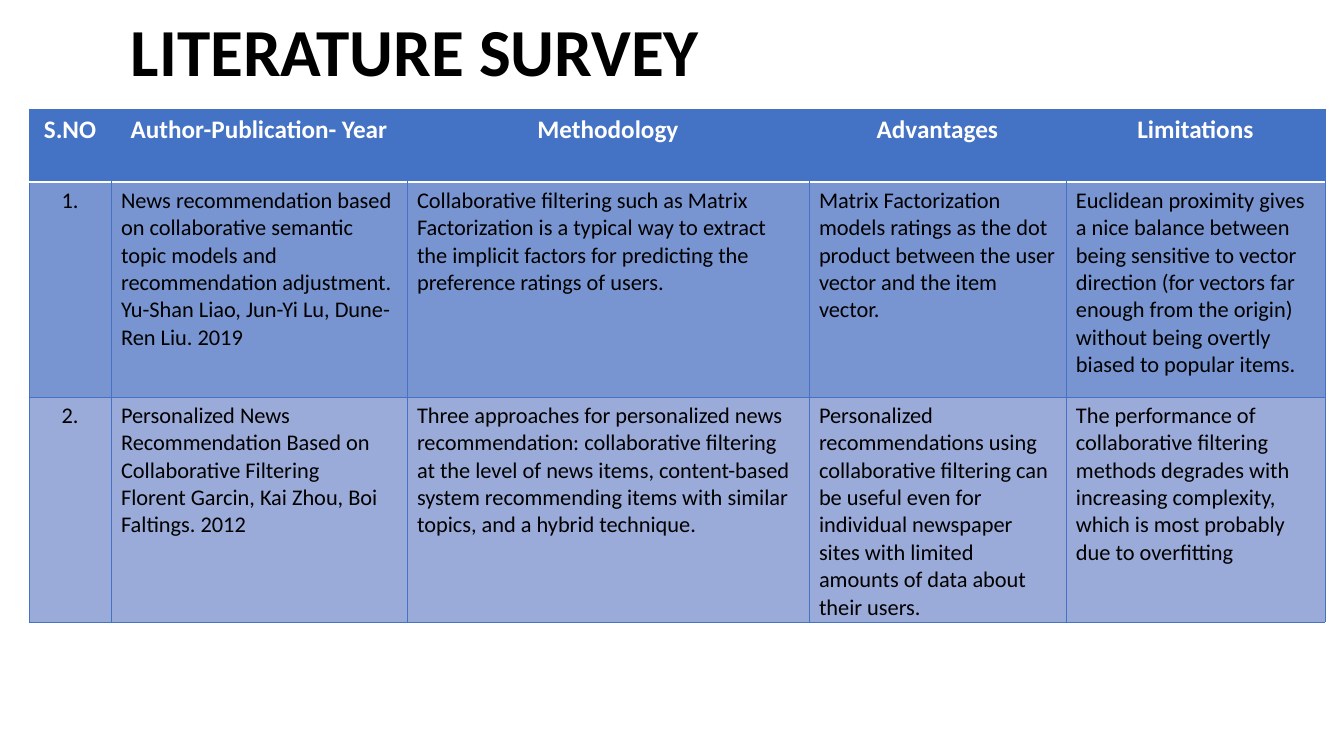
from lxml import etree
from pptx import Presentation
from pptx.dml.color import RGBColor
from pptx.enum.text import MSO_ANCHOR, PP_ALIGN
from pptx.oxml.ns import qn
from pptx.util import Pt

EMU_PER_PX = 914400 / 100.8
FONT = "Calibri"
COLORS = {
    "ink": "000000",
    "paper": "FFFFFF",
    "header": "4472C4",
    "odd_row": "7895D1",
    "even_row": "9BABD9",
}
COLUMN_WIDTHS = [82, 296, 402, 257, 259]
ROW_HEIGHTS = [73, 215, 220]
HEADINGS = ["S.NO", "Author-Publication- Year", "Methodology", "Advantages", "Limitations"]
PAPERS = [
    [
        "1.",
        "News recommendation based on collaborative semantic topic models and "
        "recommendation adjustment.\nYu-Shan Liao, Jun-Yi Lu, Dune-Ren Liu. 2019",
        "Collaborative filtering such as Matrix Factorization is a typical way to extract "
        "the implicit factors for predicting the preference ratings of users.",
        "Matrix Factorization models ratings as the dot product between the user vector "
        "and the item vector.",
        "Euclidean proximity gives a nice balance between being sensitive to vector direction "
        "(for vectors far enough from the origin) without being overtly biased to popular items.",
    ],
    [
        "2.",
        "Personalized News Recommendation Based on Collaborative Filtering\n"
        "Florent Garcin, Kai Zhou, Boi Faltings. 2012",
        "Three approaches for personalized news recommendation: collaborative filtering at the "
        "level of news items, content-based system recommending items with similar topics, "
        "and a hybrid technique.",
        "Personalized recommendations using collaborative filtering can be useful even for "
        "individual newspaper sites with limited amounts of data about their users.",
        "The performance of collaborative filtering methods degrades with increasing "
        "complexity, which is most probably due to overfitting",
    ],
]


def px(length):
    """Turn pixels into EMU."""
    return round(length * EMU_PER_PX)


def rgb(name):
    """Look up a named colour."""
    return RGBColor.from_string(COLORS[name])


def write(frame, text, size, color, bold=False, align=PP_ALIGN.LEFT):
    """Fill a text frame with one paragraph per line of text."""
    frame.text = text
    for paragraph in frame.paragraphs:
        paragraph.alignment = align
        for run in paragraph.runs:
            run.font.name = FONT
            run.font.size = Pt(size)
            run.font.bold = bold
            run.font.color.rgb = rgb(color)


def set_borders(cell, borders):
    """Draw the cell borders given as side: (colour, points), or None for no line."""
    properties = cell._tc.get_or_add_tcPr()
    for position, side in enumerate("LRTB"):
        line = etree.Element(qn(f"a:ln{side}"))
        if borders[side]:
            color, width = borders[side]
            line.set("w", str(Pt(width)))
            fill = etree.SubElement(line, qn("a:solidFill"))
            etree.SubElement(fill, qn("a:srgbClr"), val=COLORS[color])
        else:
            etree.SubElement(line, qn("a:noFill"))
        properties.insert(position, line)


def add_title(slide, box):
    """Place the slide heading in the box."""
    frame = slide.shapes.add_textbox(*map(px, box)).text_frame
    frame.word_wrap = True
    frame.vertical_anchor = MSO_ANCHOR.MIDDLE
    write(frame, "LITERATURE SURVEY", 48, "ink", bold=True)
    frame.paragraphs[0].line_spacing = 0.9


def add_survey_table(slide, box):
    """Place the table of surveyed papers in the box."""
    rows = [HEADINGS] + PAPERS
    table = slide.shapes.add_table(len(rows), len(HEADINGS), *map(px, box)).table
    for column, width in zip(table.columns, COLUMN_WIDTHS):
        column.width = px(width)
    for row, height in zip(table.rows, ROW_HEIGHTS):
        row.height = px(height)
    edge, rule = ("header", 0.5), ("paper", 1)
    last = len(HEADINGS) - 1
    for r, texts in enumerate(rows):
        for c, text in enumerate(texts):
            cell = table.cell(r, c)
            is_header = r == 0
            centred = is_header or c == 0
            write(
                cell.text_frame,
                text,
                18 if is_header else 16,
                "paper" if is_header else "ink",
                is_header,
                PP_ALIGN.CENTER if centred else PP_ALIGN.LEFT,
            )
            cell.fill.solid()
            cell.fill.fore_color.rgb = rgb(["header", "odd_row", "even_row"][r])
            set_borders(cell, {
                "L": None if is_header and c > 0 else edge,
                "R": None if is_header and c < last else edge,
                "T": rule if r == 1 else edge,
                "B": rule if is_header else edge,
            })


def main():
    """Build and save the slide."""
    deck = Presentation()
    deck.slide_width, deck.slide_height = px(1344), px(756)
    slide = deck.slides.add_slide(deck.slide_layouts[6])
    add_title(slide, (121, 0, 1122, 109))
    add_survey_table(slide, (29, 109, sum(COLUMN_WIDTHS), sum(ROW_HEIGHTS)))
    deck.save("out.pptx")


main()
